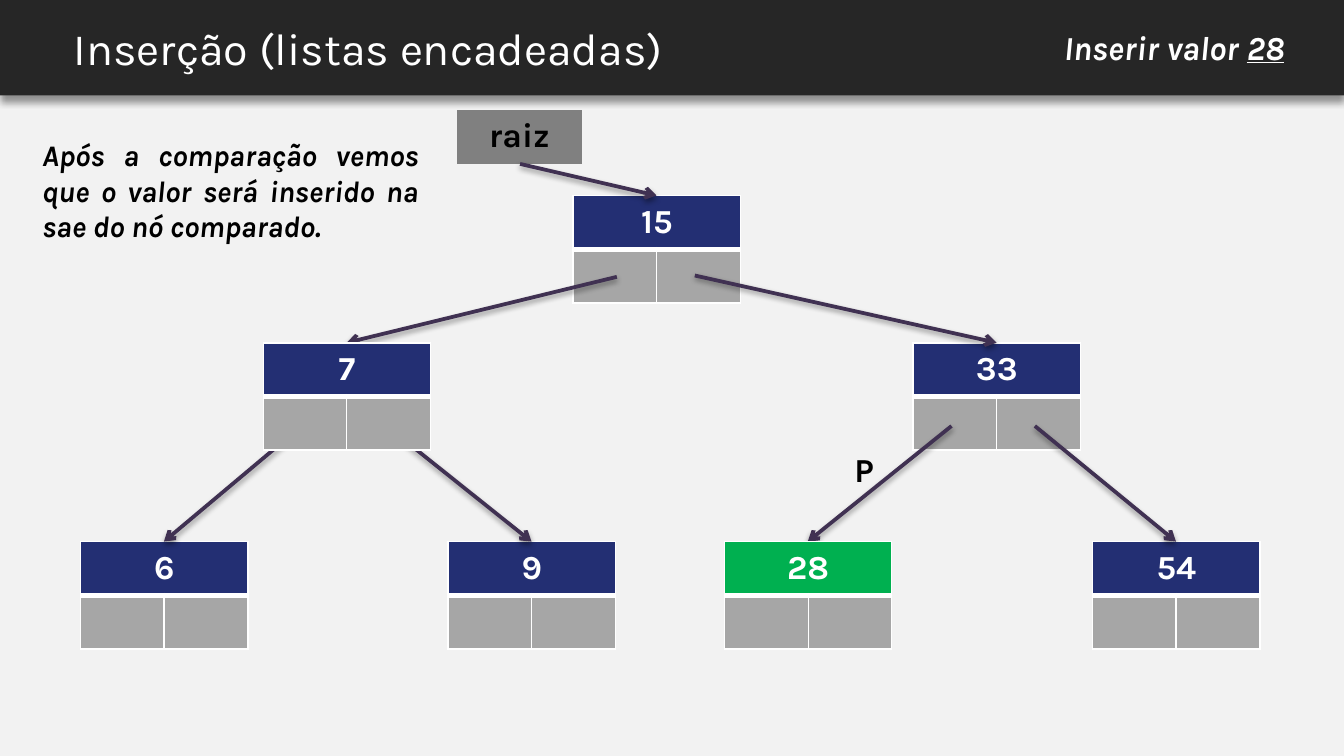
import pptx
import pptx.dml.color
import pptx.enum.shapes
import pptx.enum.text
import pptx.oxml
import pptx.oxml.ns
import pptx.util

RGBColor = pptx.dml.color.RGBColor
ALIGN = pptx.enum.text.PP_ALIGN
MIDDLE = pptx.enum.text.MSO_ANCHOR.MIDDLE
Pt = pptx.util.Pt

EMU_PER_PX = 4572  # 200 px to the inch
WIDTH, HEIGHT = 2000, 1125
ROW = 80
COLUMNS = (124, 125)
SPLIT_COLUMNS = (123, 2, 124)  # the first two are merged in the pointer row
BAR_HEIGHT = 142

PAPER = RGBColor(0xF2, 0xF2, 0xF2)
WHITE = RGBColor(0xFF, 0xFF, 0xFF)
BLACK = RGBColor(0x00, 0x00, 0x00)
CHARCOAL = RGBColor(0x26, 0x26, 0x26)
NAVY = RGBColor(0x23, 0x2F, 0x73)
GREEN = RGBColor(0x00, 0xB0, 0x50)
POINTER_GREY = RGBColor(0xA6, 0xA6, 0xA6)
ROOT_GREY = RGBColor(0x80, 0x80, 0x80)
PURPLE = RGBColor(0x40, 0x31, 0x52)

PLAIN_TABLE_STYLE = "{2D5ABB26-0587-4C30-8999-92F81FD0307C}"

# value: left, top of its node
NODES = {
    15: (853, 291),
    7: (392, 510),
    33: (1359, 510),
    6: (120, 806),
    9: (667, 806),
    28: (1078, 806),
    54: (1626, 806),
}

# start x, start y, value of the node pointed to
POINTERS = [
    (774, 244, 15),
    (918, 412, 7),
    (1034, 410, 33),
    (456, 628, 6),
    (568, 628, 9),
    (1416, 634, 28),
    (1540, 634, 54),
]


def px(*lengths):
    return [pptx.util.Emu(n * EMU_PER_PX) for n in lengths]


class TreeSlide:
    font = "Karla"

    def __init__(self, prs):
        self.s = prs.slides.add_slide(prs.slide_layouts[5])
        fill = self.s.background.fill
        fill.solid()
        fill.fore_color.rgb = PAPER

    def xml(self, tag, attributes="", inner=""):
        ns = pptx.oxml.ns.nsdecls("a")
        return pptx.oxml.parse_xml(f"<a:{tag} {ns} {attributes}>{inner}</a:{tag}>")

    def shadow(self, blur, distance, opacity):
        """Return a downward black shadow; blur and distance in points."""
        return self.xml(
            "outerShdw",
            f'blurRad="{Pt(blur)}" dist="{Pt(distance)}" dir="5400000" rotWithShape="0"',
            f'<a:srgbClr val="000000"><a:alpha val="{opacity * 1000}"/></a:srgbClr>',
        )

    def format(self, p, size, color, align=ALIGN.LEFT, bold=True, italic=False):
        p.alignment = align
        for r in p.runs:
            r.font.name = self.font
            r.font.size = Pt(size)
            r.font.bold = bold
            r.font.italic = italic
            r.font.color.rgb = color

    def bar(self, height):
        sp = self.s.shapes.add_shape(
            pptx.enum.shapes.MSO_SHAPE.RECTANGLE, *px(0, 0, WIDTH, height))
        sp.fill.solid()
        sp.fill.fore_color.rgb = CHARCOAL
        sp.line.fill.background()
        sp.shadow.inherit = False
        effects = sp.element.spPr.find(pptx.oxml.ns.qn("a:effectLst"))
        effects.append(self.shadow(4, 3, 40))

    def title(self, text, box):
        sp = self.s.shapes.title
        sp.element.getparent().append(sp.element)  # bring in front of the bar
        sp.left, sp.top, sp.width, sp.height = px(*box)
        self.fill_frame(sp.text_frame, text, 20)
        self.format(sp.text_frame.paragraphs[0], 24, WHITE, bold=False)

    def fill_frame(self, tf, text, inset):
        """Set text centred vertically with one inset on all sides."""
        tf.text = text
        tf.word_wrap = True
        tf.auto_size = pptx.enum.text.MSO_AUTO_SIZE.NONE
        tf.vertical_anchor = MIDDLE
        tf.margin_left, tf.margin_top, tf.margin_right, tf.margin_bottom = px(*[inset] * 4)

    def text(self, text, box, size=18, color=BLACK, align=ALIGN.LEFT, italic=True,
             underlined=""):
        sp = self.s.shapes.add_textbox(*px(*box))
        tf = sp.text_frame
        self.fill_frame(tf, text, 20)
        p = tf.paragraphs[0]
        if underlined:
            r = p.add_run()
            r.text = underlined
            r.font.underline = True
        self.format(p, size, color, align, italic=italic)

    def table(self, left, top, rows, columns):
        shape = self.s.shapes.add_table(
            rows, len(columns), *px(left, top, sum(columns), rows * ROW))
        table = shape.table
        table.first_row = table.horz_banding = False
        style = shape.element.find(".//" + pptx.oxml.ns.qn("a:tableStyleId"))
        style.text = PLAIN_TABLE_STYLE
        for column, width in zip(table.columns, px(*columns)):
            column.width = width
        return table

    def cell(self, cell, fill, text="", color=WHITE):
        cell.fill.solid()
        cell.fill.fore_color.rgb = fill
        if text:
            cell.text = text
            self.format(cell.text_frame.paragraphs[0], 18, color, ALIGN.CENTER)
        else:
            cell.margin_top = cell.margin_bottom = 0

    def borders(self, cell, top, bottom):
        """Draw white borders, 1 pt at the sides; call before filling the cell."""
        tcPr = cell._tc.get_or_add_tcPr()
        for tag, width in (("lnL", 1), ("lnR", 1), ("lnT", top), ("lnB", bottom)):
            tcPr.append(self.xml(
                tag, f'w="{Pt(width)}"',
                f'<a:solidFill><a:srgbClr val="{WHITE}"/></a:solidFill>'))

    def node(self, value, color=NAVY, columns=COLUMNS):
        """Draw the value over its left and right pointer cells."""
        table = self.table(*NODES[value], 2, columns)
        last = len(columns) - 1
        for column in range(len(columns)):
            self.borders(table.cell(0, column), 1, 3)
            self.borders(table.cell(1, column), 3, 1)
            self.cell(table.cell(1, column), POINTER_GREY)
        table.cell(0, 0).merge(table.cell(0, last))
        if last > 1:
            table.cell(1, 0).merge(table.cell(1, last - 1))
        self.cell(table.cell(0, 0), color, str(value))

    def pointer(self, x, y, value):
        """Draw an arrow to the top centre of a node."""
        left, top = NODES[value]
        c = self.s.shapes.add_connector(
            pptx.enum.shapes.MSO_CONNECTOR.STRAIGHT,
            *px(x, y, left + sum(COLUMNS) // 2, top))
        c.line.color.rgb = PURPLE
        c.line.width = Pt(2)
        c.line._get_or_add_ln().append(self.xml("tailEnd", 'type="arrow"'))
        effects = self.xml("effectLst")
        effects.append(self.shadow(3.1, 1.6, 38))
        c._element.spPr.append(effects)


def main():
    prs = pptx.Presentation()
    prs.slide_width, prs.slide_height = px(WIDTH, HEIGHT)
    slide = TreeSlide(prs)

    for value in (15, 33, 6, 9, 54):
        slide.node(value)
    root = slide.table(680, 164, 1, [186])
    slide.cell(root.cell(0, 0), ROOT_GREY, "raiz", BLACK)
    for pointer in POINTERS:
        slide.pointer(*pointer)

    slide.bar(BAR_HEIGHT)
    slide.title("Inserção (listas encadeadas)", (90, 0, 1810, BAR_HEIGHT))
    slide.node(7)  # covers the start of its pointers
    slide.text("Inserir valor ", (1410, 30, 521, 80), color=WHITE,
               align=ALIGN.RIGHT, underlined="28")
    slide.text("Após a comparação vemos que o valor será inserido na sae do nó comparado.",
               (43, 144, 600, 278), size=16, align=ALIGN.JUSTIFY)
    slide.text("P", (1252, 658, 72, 80), italic=False)
    slide.node(28, GREEN, SPLIT_COLUMNS)

    prs.save("out.pptx")


if __name__ == "__main__":
    main()
